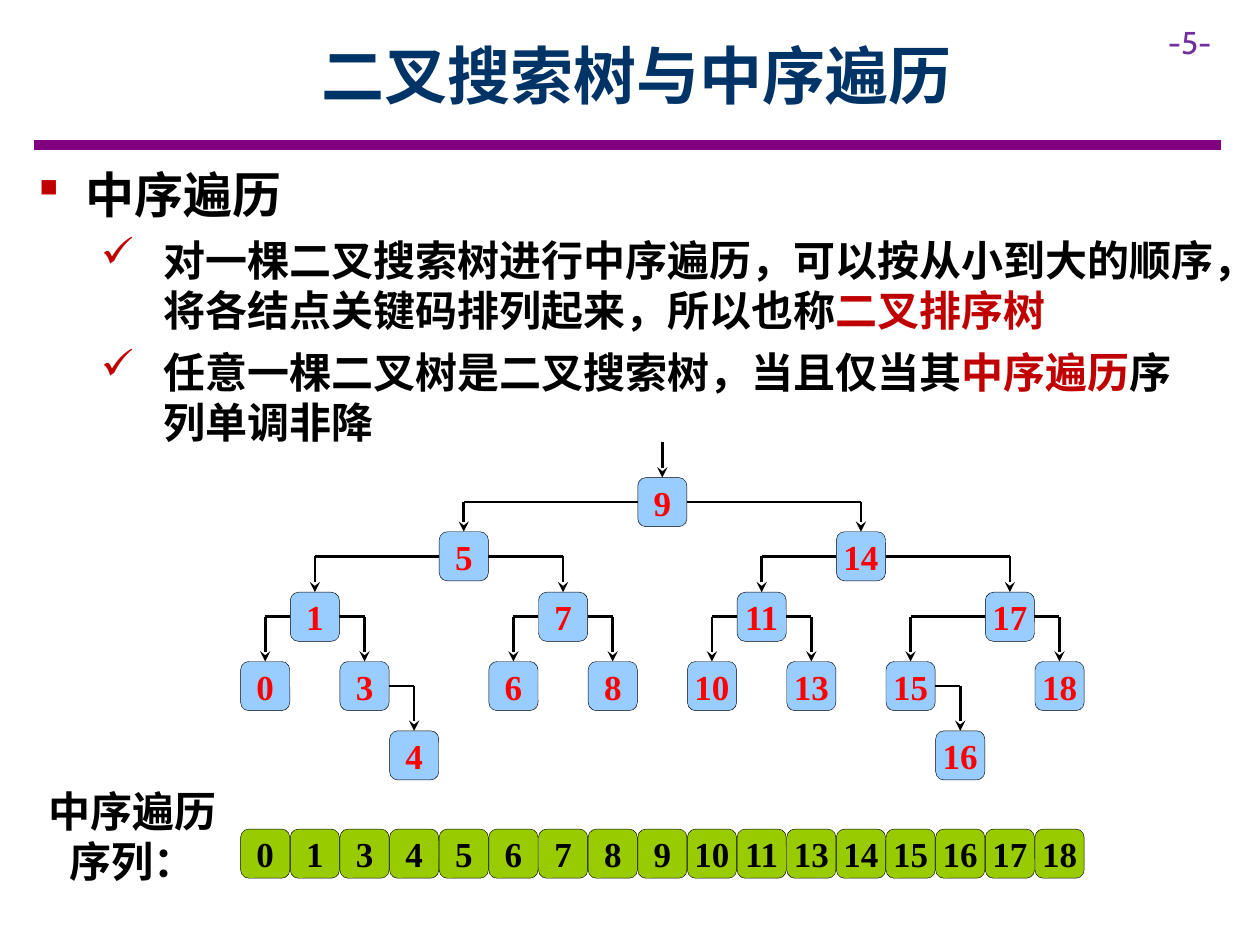
from lxml.etree import SubElement
from pptx import Presentation
from pptx.dml.color import RGBColor
from pptx.enum.shapes import MSO_CONNECTOR, MSO_SHAPE
from pptx.enum.text import MSO_ANCHOR, PP_ALIGN
from pptx.oxml.ns import qn
from pptx.util import Inches, Pt

BLACK = RGBColor(0x00, 0x00, 0x00)
RED = RGBColor(0xFF, 0x00, 0x00)
DARK_RED = RGBColor(0xC0, 0x00, 0x00)
NAVY = RGBColor(0x00, 0x33, 0x66)
VIOLET = RGBColor(0x70, 0x30, 0xA0)
PURPLE = RGBColor(0x80, 0x00, 0x80)
BLUE = RGBColor(0x99, 0xCC, 0xFF)
GREEN = RGBColor(0x99, 0xCC, 0x00)
CHINESE_FONT = "Noto Sans CJK SC"

presentation = Presentation()
presentation.slide_width = Inches(10)
presentation.slide_height = Inches(7.5)
slide = presentation.slides.add_slide(presentation.slide_layouts[6])


def write(paragraph, text, size=24, font=CHINESE_FONT, color=BLACK, bold=True,
          align=PP_ALIGN.LEFT, line_height=None, space_after=0):
    """Append one formatted run and set the format of its paragraph."""
    paragraph.alignment = align
    paragraph.space_after = Pt(space_after)
    if line_height:
        paragraph.line_spacing = Pt(line_height)
    run = paragraph.add_run()
    run.text = text
    run.font.size = Pt(size)
    run.font.name = font
    run.font.bold = bold
    run.font.color.rgb = color
    SubElement(run._r.get_or_add_rPr(), qn("a:ea"), typeface=font)


def draw_line(x1, y1, x2, y2, color=BLACK, width=1.5, arrow=False):
    line = slide.shapes.add_connector(
        MSO_CONNECTOR.STRAIGHT, Inches(x1), Inches(y1), Inches(x2), Inches(y2))
    line.line.color.rgb = color
    line.line.width = Pt(width)
    if arrow:
        SubElement(line.line._get_or_add_ln(), qn("a:tailEnd"), type="stealth")
    SubElement(line._element.spPr, qn("a:effectLst"))


# Heading
draw_line(0.27, 1.15, 9.69, 1.15, color=PURPLE, width=6)
page_number = slide.shapes.add_textbox(Inches(9.17), Inches(0.13), Inches(0.83), Inches(0.4))
write(page_number.text_frame.paragraphs[0], "-5-", size=18, font="Cabin", color=VIOLET, bold=False)

title = slide.shapes.add_textbox(Inches(0.9), Inches(0.09), Inches(8.31), Inches(1))
title.text_frame.word_wrap = True
title.text_frame.vertical_anchor = MSO_ANCHOR.MIDDLE
write(title.text_frame.paragraphs[0], "二叉搜索树与中序遍历", size=36, color=NAVY, align=PP_ALIGN.CENTER)

# Bulleted text: level, size, line height, margin, hanging indent, symbol, runs
BULLETS = [
    (0, 28, 34, 0.38, 0.38, "§", [("中序遍历", BLACK)]),
    (1, 24, 29, 1, 0.5, "ü", [
        ("对一棵二叉搜索树进行中序遍历，可以按从小到大的顺序，将各结点关键码排列起来，所以也称", BLACK),
        ("二叉排序树", DARK_RED)]),
    (1, 24, 29, 1, 0.5, "ü", [
        ("任意一棵二叉树是二叉搜索树，当且仅当其", BLACK),
        ("中序遍历", DARK_RED),
        ("序列单调非降", BLACK)]),
]
body = slide.shapes.add_textbox(Inches(0.2), Inches(1.25), Inches(9.53), Inches(2.36))
body.text_frame.word_wrap = True
for number, (level, size, line_height, margin, hanging, symbol, runs) in enumerate(BULLETS):
    paragraph = body.text_frame.add_paragraph() if number else body.text_frame.paragraphs[0]
    paragraph.level = level
    for text, color in runs:
        write(paragraph, text, size=size, color=color, line_height=line_height, space_after=6)
    properties = paragraph._p.get_or_add_pPr()
    properties.set("marL", str(Inches(margin)))
    properties.set("indent", str(-Inches(hanging)))
    bullet_color = SubElement(properties, qn("a:buClr"))
    SubElement(bullet_color, qn("a:srgbClr"), val=str(DARK_RED))
    SubElement(properties, qn("a:buFont"), typeface="Wingdings", charset="2")
    SubElement(properties, qn("a:buChar"), char=symbol)

# The column of a key is its place in the inorder sequence
SEQUENCE = [0, 1, 3, 4, 5, 6, 7, 8, 9, 10, 11, 13, 14, 15, 16, 17, 18]
LEVELS = [
    (3.79, [9]),
    (4.22, [5, 14]),
    (4.7, [1, 7, 11, 17]),
    (5.25, [0, 3, 6, 8, 10, 13, 15, 18]),
    (5.8, [4, 16]),
]
CHILDREN = {9: [5, 14], 5: [1, 7], 14: [11, 17], 1: [0, 3], 7: [6, 8],
            11: [10, 13], 17: [15, 18], 3: [4], 15: [16]}
SEQUENCE_TOP = 6.58
NODE_SIZE = 0.39
HALF = NODE_SIZE / 2
left_of = {key: 1.91 + 0.394 * column for column, key in enumerate(SEQUENCE)}
top_of = {key: top for top, keys in LEVELS for key in keys}

# Arrows
root_center = left_of[9] + HALF
draw_line(root_center, 3.51, root_center, top_of[9], arrow=True)
for parent, children in CHILDREN.items():
    middle = top_of[parent] + HALF
    for child in children:
        child_center = left_of[child] + HALF
        parent_edge = left_of[parent] + (NODE_SIZE if child > parent else 0)
        draw_line(parent_edge, middle, child_center, middle)
        draw_line(child_center, middle, child_center, top_of[child], arrow=True)

# Tree nodes and the sequence below them
nodes = [(key, top_of[key], BLUE, RED) for key in SEQUENCE]
nodes += [(key, SEQUENCE_TOP, GREEN, BLACK) for key in SEQUENCE]
for key, top, fill, color in nodes:
    node = slide.shapes.add_shape(
        MSO_SHAPE.ROUNDED_RECTANGLE, Inches(left_of[key]), Inches(top),
        Inches(NODE_SIZE), Inches(NODE_SIZE))
    node.shadow.inherit = False
    node.fill.solid()
    node.fill.fore_color.rgb = fill
    node.line.color.rgb = BLACK
    node.line.width = Pt(0.25)
    frame = node.text_frame
    frame.margin_left = frame.margin_right = frame.margin_top = frame.margin_bottom = 0
    frame.vertical_anchor = MSO_ANCHOR.MIDDLE
    write(frame.paragraphs[0], str(key), size=20, font="Times New Roman",
          color=color, align=PP_ALIGN.CENTER)

label = slide.shapes.add_textbox(Inches(0.26), Inches(6.18), Inches(1.59), Inches(0.91))
label.text_frame.word_wrap = True
write(label.text_frame.paragraphs[0], "中序遍历序列：", align=PP_ALIGN.CENTER, line_height=29, space_after=6)

presentation.save("out.pptx")
